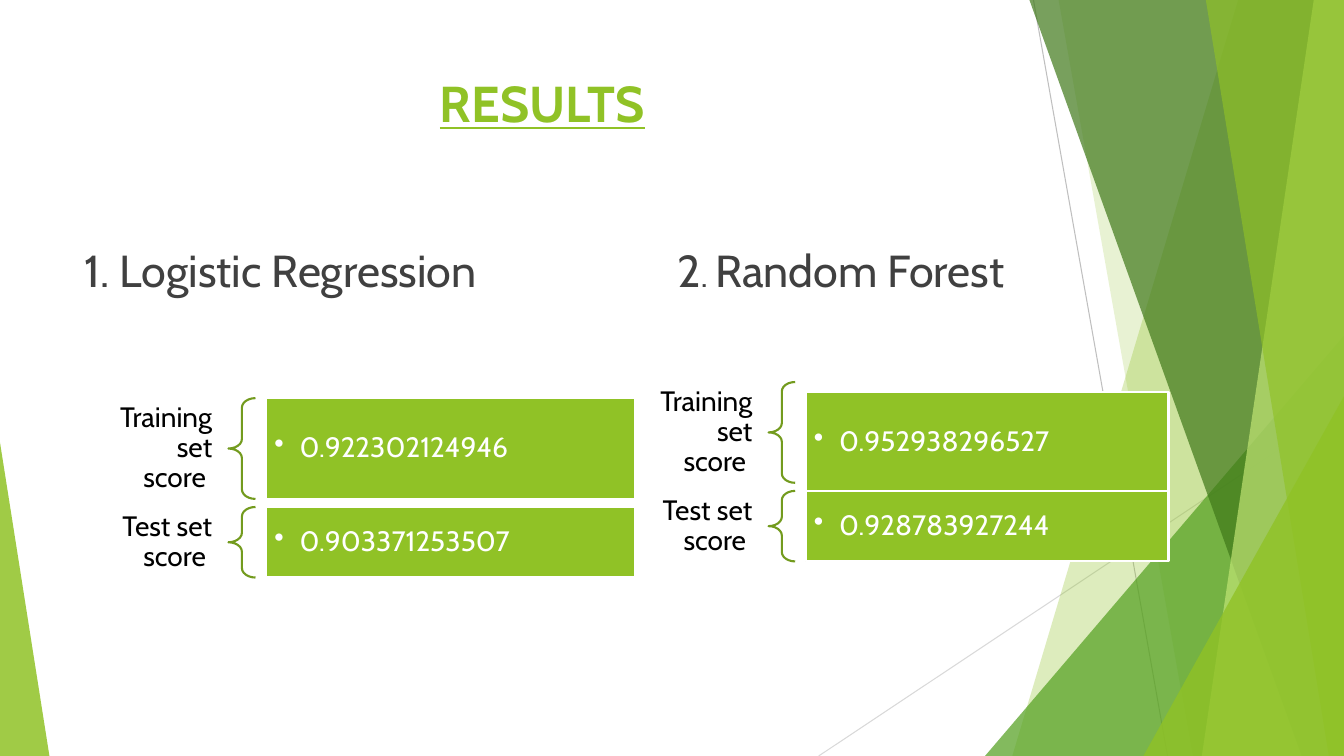
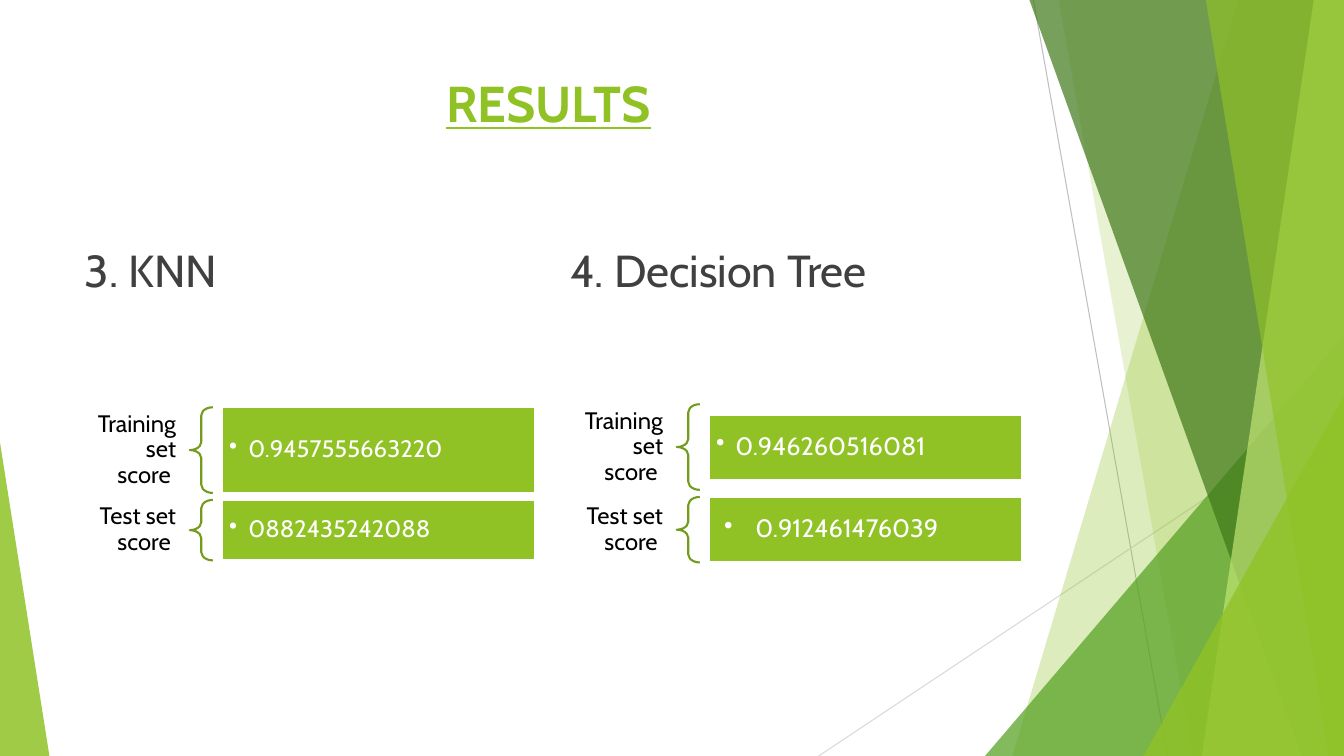
from dataclasses import dataclass

from lxml import etree
from pptx import Presentation
from pptx.dml.color import RGBColor
from pptx.enum.shapes import MSO_CONNECTOR, MSO_SHAPE
from pptx.enum.text import MSO_ANCHOR, MSO_AUTO_SIZE, PP_ALIGN
from pptx.oxml.ns import qn
from pptx.util import Inches, Pt

# Shared style
WIDTH, HEIGHT = 13.33, 7.5
FONT = "Cabin"
GREEN = RGBColor(0x90, 0xC2, 0x26)
MID_GREEN = RGBColor(0x54, 0xA0, 0x21)
DARK_GREEN = RGBColor(0x3F, 0x78, 0x19)
PALE_GREEN = RGBColor(0xC0, 0xE4, 0x74)
BRACE_GREEN = RGBColor(0x73, 0x9B, 0x1E)
GREY = RGBColor(0xBF, 0xBF, 0xBF)
LIGHT_GREY = RGBColor(0xD9, 0xD9, 0xD9)
HEADING_GREY = RGBColor(0x40, 0x40, 0x40)
BLACK = RGBColor(0, 0, 0)
WHITE = RGBColor(0xFF, 0xFF, 0xFF)

# Shares of a score panel's width
LABEL_SHARE, BRACE_SHARE, GAP_SHARE, BAR_SHARE = 0.25, 0.05, 0.02, 0.68
TRAINING, TEST = "Training set score ", "Test set score "


@dataclass
class Score:
    label: str
    value: str
    brace: tuple  # top, height
    bar: tuple  # top, height
    size: int
    inset: float
    indent: float


@dataclass
class Panel:
    heading: list  # (text, size) spans
    heading_left: float
    left: float
    width: float
    label_size: int
    scores: list


# Content: title, title left, panels
PAGES = [
    ("RESULTS", 0.68, [
        Panel([("1. Logistic Regression", 32)], 0.74, 0.92, 5.38, 20, [
            Score(TRAINING, "0.922302124946", (3.95, 1), (3.95, 1), 20, 0.08, 0.25),
            Score(TEST, "0.903371253507", (5.03, 0.7), (5.03, 0.7), 20, 0.08, 0.25),
        ]),
        Panel([("2", 32), (". ", 24), ("Random Forest", 32)], 6.62, 6.3, 5.29, 20, [
            Score(TRAINING, "0.952938296527", (3.79, 1), (3.89, 1), 20, 0.08, 0.25),
            Score(TEST, "0.928783927244", (4.87, 0.7), (4.87, 0.7), 20, 0.08, 0.25),
        ]),
    ]),
    ("RESULTS", 0.74, [
        Panel([("3. KNN", 32)], 0.74, 0.74, 4.57, 17, [
            Score(TRAINING, "0.9457555663220", (4.04, 0.85), (4.04, 0.85), 17, 0.07, 0.19),
            Score(TEST, "0882435242088", (4.96, 0.6), (4.96, 0.6), 17, 0.07, 0.19),
        ]),
        Panel([("4. Decision Tree", 32)], 5.56, 5.57, 4.57, 17, [
            Score(TRAINING, "0.946260516081", (4.01, 0.85), (4.12, 0.64), 18, 0.07, 0.19),
            Score(TEST, "0.912461476039", (4.93, 0.65), (4.93, 0.65), 18, 0.15, 0.31),
        ]),
    ]),
]

# Backdrop: start, end, colour
RULES = [
    ((10.25, 0), (11.58, HEIGHT), GREY),
    ((WIDTH, 4.03), (8.12, HEIGHT), LIGHT_GREY),
]
# Facets reach the right edge: (top x, bottom x); triangles: (left, top, width, apex)
FACETS = [
    ((12.28, 10.04), GREEN, 30),
    ((10.5, 11.83), GREEN, 20),
    ((9.77, 3.33, 3.56, 1), MID_GREEN, 72),
    ((10.21, 12.91), DARK_GREEN, 70),
    ((13.03, 11.92), PALE_GREEN, 70),
    ((11.96, 13.18), GREEN, 65),
    ((11.34, 3.93, 1.99, 1), GREEN, 80),
    ((0, 4.39, 0.49, 0), GREEN, 85),
]


def inches(*lengths):
    return [Inches(length) for length in lengths]


def fill_facet(shape, color, opacity):
    shape.shadow.inherit = False
    shape.fill.solid()
    shape.fill.fore_color.rgb = color
    shape.line.fill.background()
    color_node = shape.element.find(".//" + qn("a:srgbClr"))
    etree.SubElement(color_node, qn("a:alpha"), val=str(opacity * 1000))


def draw_backdrop(page, layout):
    """Draw the decoration once and move it to the layout."""
    parts = []
    for start, end, color in RULES:
        rule = page.shapes.add_connector(MSO_CONNECTOR.STRAIGHT, *inches(*start, *end))
        rule.line.color.rgb = color
        rule.line.width = Pt(0.75)
        etree.SubElement(rule.element.spPr, qn("a:effectLst"))
        parts.append(rule)
    for outline, color, opacity in FACETS:
        if len(outline) == 2:
            top_x, bottom_x = outline
            builder = page.shapes.build_freeform(Inches(top_x), 0)
            corners = [(WIDTH, 0), (WIDTH, HEIGHT), (bottom_x, HEIGHT)]
            builder.add_line_segments([inches(*corner) for corner in corners])
            facet = builder.convert_to_shape()
        else:
            left, top, width, apex = outline
            facet = page.shapes.add_shape(
                MSO_SHAPE.ISOSCELES_TRIANGLE, *inches(left, top, width, HEIGHT - top))
            facet.adjustments[0] = apex
        fill_facet(facet, color, opacity)
        parts.append(facet)
    for part in parts:
        layout.shapes.element.append(part.element)


def set_frame(shape, anchor, side=0.1, edge=0.05):
    frame = shape.text_frame
    frame.word_wrap = True
    frame.auto_size = MSO_AUTO_SIZE.NONE
    frame.vertical_anchor = anchor
    frame.margin_left = frame.margin_right = Inches(side)
    frame.margin_top = frame.margin_bottom = Inches(edge)
    return frame.paragraphs[0]


def set_font(para, size, color):
    para.font.name = FONT
    para.font.size = Pt(size)
    para.font.color.rgb = color


def add_title(page, text, left):
    title = page.shapes.title
    title.left, title.top, title.width, title.height = inches(left, 0.67, 9.4, 1.44)
    para = set_frame(title, MSO_ANCHOR.TOP)
    para.text = text
    para.alignment = PP_ALIGN.CENTER
    set_font(para, 36, GREEN)
    para.font.bold = para.font.underline = True


def add_heading(page, panel):
    box = page.shapes.add_textbox(*inches(panel.heading_left, 2.36, 4.58, 0.63))
    para = set_frame(box, MSO_ANCHOR.BOTTOM)
    set_font(para, 32, HEADING_GREY)
    for text, size in panel.heading:
        span = para.add_run()
        span.text = text
        span.font.size = Pt(size)


def add_score(page, panel, score):
    brace_left = panel.left + panel.width * LABEL_SHARE
    bar_left = brace_left + panel.width * (BRACE_SHARE + GAP_SHARE)
    top, height = score.brace
    bar_top, bar_height = score.bar

    # Label
    label = page.shapes.add_textbox(
        *inches(panel.left, top, panel.width * LABEL_SHARE, height))
    para = set_frame(label, MSO_ANCHOR.MIDDLE, panel.label_size * 0.008,
                     panel.label_size * 0.003)
    para.text = score.label
    para.alignment = PP_ALIGN.RIGHT
    para.line_spacing = 0.9
    set_font(para, panel.label_size, BLACK)

    # Brace
    brace = page.shapes.add_shape(
        MSO_SHAPE.LEFT_BRACE, *inches(brace_left, top, panel.width * BRACE_SHARE, height))
    brace.adjustments[0] = 0.35
    brace.shadow.inherit = False
    brace.fill.background()
    brace.line.color.rgb = BRACE_GREEN
    brace.line.width = Pt(1.5)

    # Bar with bulleted value
    bar = page.shapes.add_shape(
        MSO_SHAPE.RECTANGLE, *inches(bar_left, bar_top, panel.width * BAR_SHARE, bar_height))
    bar.shadow.inherit = False
    bar.fill.solid()
    bar.fill.fore_color.rgb = GREEN
    bar.line.color.rgb = WHITE
    bar.line.width = Pt(1.5)
    para = set_frame(bar, MSO_ANCHOR.MIDDLE, score.inset, score.inset)
    para.text = score.value
    para.alignment = PP_ALIGN.LEFT
    para.line_spacing = 0.9
    set_font(para, score.size, WHITE)
    properties = para._p.get_or_add_pPr()
    properties.set("marL", str(Inches(score.indent)))
    properties.set("indent", str(-Inches(score.indent)))
    bullet = etree.Element(qn("a:buChar"), char="•")
    properties.find(qn("a:defRPr")).addprevious(bullet)


def main():
    deck = Presentation()
    deck.slide_width, deck.slide_height = inches(WIDTH, HEIGHT)
    layout = deck.slide_layouts.get_by_name("Title Only")
    for number, (title, title_left, panels) in enumerate(PAGES):
        page = deck.slides.add_slide(layout)
        if number == 0:
            draw_backdrop(page, layout)
        add_title(page, title, title_left)
        for panel in panels:
            add_heading(page, panel)
            for score in panel.scores:
                add_score(page, panel, score)
    deck.save("out.pptx")


if __name__ == "__main__":
    main()
